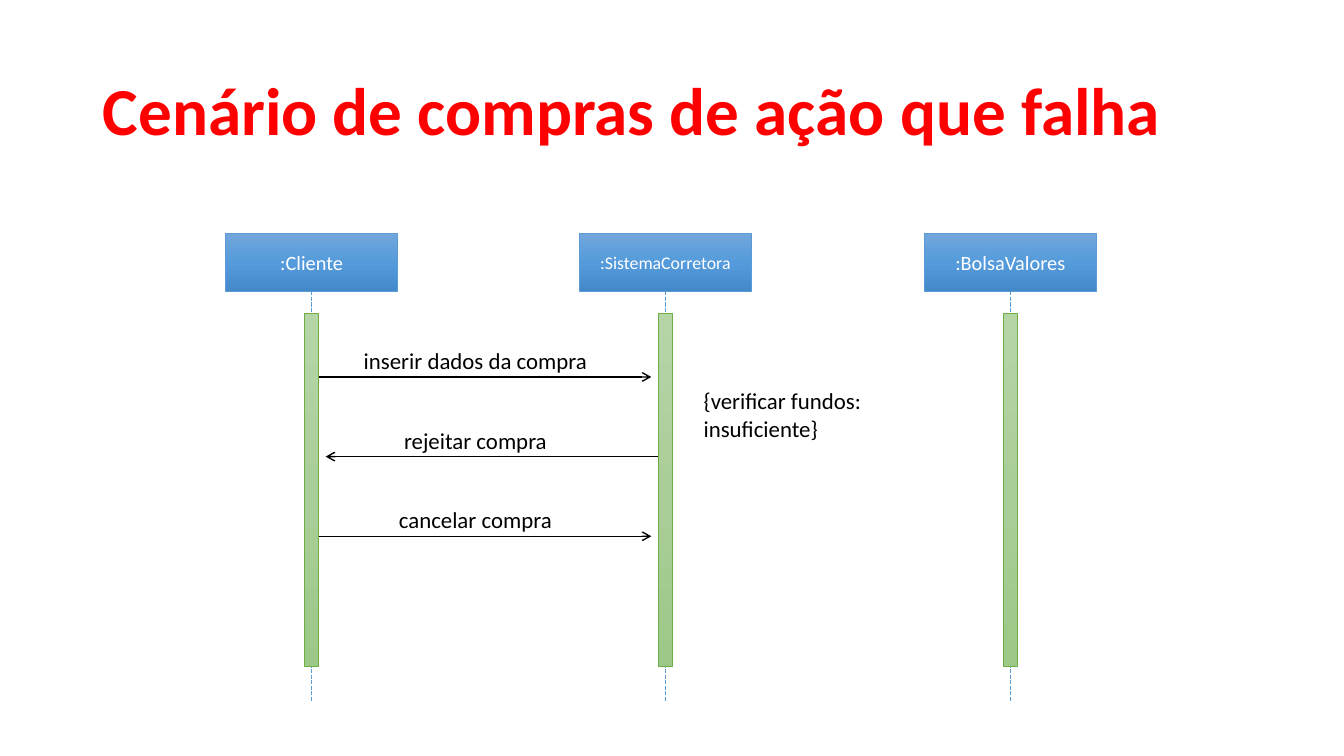
from copy import deepcopy

from lxml import etree
from pptx import Presentation
from pptx.dml.color import RGBColor
from pptx.enum.dml import MSO_LINE
from pptx.enum.shapes import MSO_CONNECTOR, MSO_SHAPE
from pptx.enum.text import MSO_ANCHOR, PP_ALIGN
from pptx.oxml.ns import qn
from pptx.util import Inches, Pt

RECT, STRAIGHT = MSO_SHAPE.RECTANGLE, MSO_CONNECTOR.STRAIGHT
DASH, MIDDLE = MSO_LINE.SQUARE_DOT, MSO_ANCHOR.MIDDLE
LEFT, CENTER = PP_ALIGN.LEFT, PP_ALIGN.CENTER

RED = RGBColor(0xFF, 0x00, 0x00)
BLACK = RGBColor(0x00, 0x00, 0x00)
WHITE = RGBColor(0xFF, 0xFF, 0xFF)
BLUE = RGBColor(0x5B, 0x9B, 0xD5)
GREEN = RGBColor(0x70, 0xAD, 0x47)
BLUES = [RGBColor(0x71, 0xA6, 0xDB), RGBColor(0x55, 0x9B, 0xDB), RGBColor(0x44, 0x8A, 0xCA)]
GREENS = [RGBColor(0xB5, 0xD5, 0xA7), RGBColor(0xAA, 0xCE, 0x9A), RGBColor(0x9C, 0xC9, 0x87)]

# Grid in inches: one column per participant, one row per message
COLS = [3.09, 6.6, 10.02]
HEAD_TOP, HEAD_W, HEAD_H = 2.32, 1.71, 0.57
BAR_TOP, BAR_W, BAR_H = 3.11, 0.14, 3.5
LIFE_END = 6.96
ROW_TOP, ROW_STEP = 3.74, 0.79
ARROW_GAP = 0.07
LABEL_W, LABEL_H, LABEL_RISE = 2.45, 0.38, 0.35

prs = Presentation()
prs.slide_width, prs.slide_height = Inches(13.33), Inches(7.5)
s = prs.slides.add_slide(prs.slide_layouts[6])


def add_box(center, top, w, h, colors, edge):
    sp = s.shapes.add_shape(RECT, Inches(center - w / 2), Inches(top), Inches(w), Inches(h))
    sp.shadow.inherit = False
    sp.fill.gradient()
    sp.fill.gradient_angle = 270
    first = sp.element.spPr.find(".//" + qn("a:gs"))
    first.addnext(deepcopy(first))
    for i, (stop, color) in enumerate(zip(sp.fill.gradient_stops, colors)):
        stop.position = i / 2
        stop.color.rgb = color
    sp.line.color.rgb = edge
    sp.line.width = Pt(0.5)
    return sp.text_frame


def add_line(x1, y1, x2, y2, color):
    cn = s.shapes.add_connector(STRAIGHT, Inches(x1), Inches(y1), Inches(x2), Inches(y2))
    cn.line.color.rgb = color
    cn.line.width = Pt(1)
    etree.SubElement(cn.element.spPr, qn("a:effectLst"))
    return cn.line


# Title
tf = s.shapes.add_textbox(Inches(0.92), Inches(0.4), Inches(11.5), Inches(1.45)).text_frame
tf.word_wrap = True
tf.vertical_anchor = MIDDLE
p = tf.paragraphs[0]
p.text = "Cenário de compras de ação que falha"
p.line_spacing = 0.9
p.font.name, p.font.size, p.font.bold = "Calibri", Pt(48), True
p.font.color.rgb = RED

# Participants: header, lifeline and activation bar
participants = [(":Cliente", 14.5), (":SistemaCorretora", 12.7), (":BolsaValores", 14.5)]
for x, (name, size) in zip(COLS, participants):
    tf = add_box(x, HEAD_TOP, HEAD_W, HEAD_H, BLUES, BLUE)
    tf.vertical_anchor = MIDDLE
    p = tf.paragraphs[0]
    p.text = name
    p.alignment = CENTER
    p.font.name, p.font.size = "Calibri", Pt(size)
    p.font.color.rgb = WHITE
    add_line(x, HEAD_TOP + HEAD_H, x, LIFE_END, BLUE).dash_style = DASH
    add_box(x, BAR_TOP, BAR_W, BAR_H, GREENS, GREEN)

# Message arrows, each stopping just short of the bar it points at
client = COLS[0] + BAR_W / 2
system = COLS[1] - BAR_W / 2
right, back = (client, system - ARROW_GAP), (system, client + ARROW_GAP)
messages = [("inserir dados da compra", right), ("rejeitar compra", back), ("cancelar compra", right)]
label_left = (client + system - LABEL_W) / 2 - 0.13
labels = [(6.88, 3.79, 1.79, 0.65, LEFT, ["{verificar fundos:", "insuficiente}"])]
for i, (text, (start, end)) in enumerate(messages):
    y = ROW_TOP + i * ROW_STEP
    ln = add_line(start, y, end, y, BLACK)
    etree.SubElement(ln._get_or_add_ln(), qn("a:tailEnd"), type="arrow")
    labels.append((label_left, y - LABEL_RISE, LABEL_W, LABEL_H, CENTER, [text]))

# Note and message labels
for x, y, w, h, align, rows in labels:
    tf = s.shapes.add_textbox(Inches(x), Inches(y), Inches(w), Inches(h)).text_frame
    tf.word_wrap = False
    tf.text = "\n".join(rows)
    for p in tf.paragraphs:
        p.alignment = align
        p.font.name, p.font.size = "Calibri", Pt(16.3)
        p.font.color.rgb = BLACK

prs.save("out.pptx")
